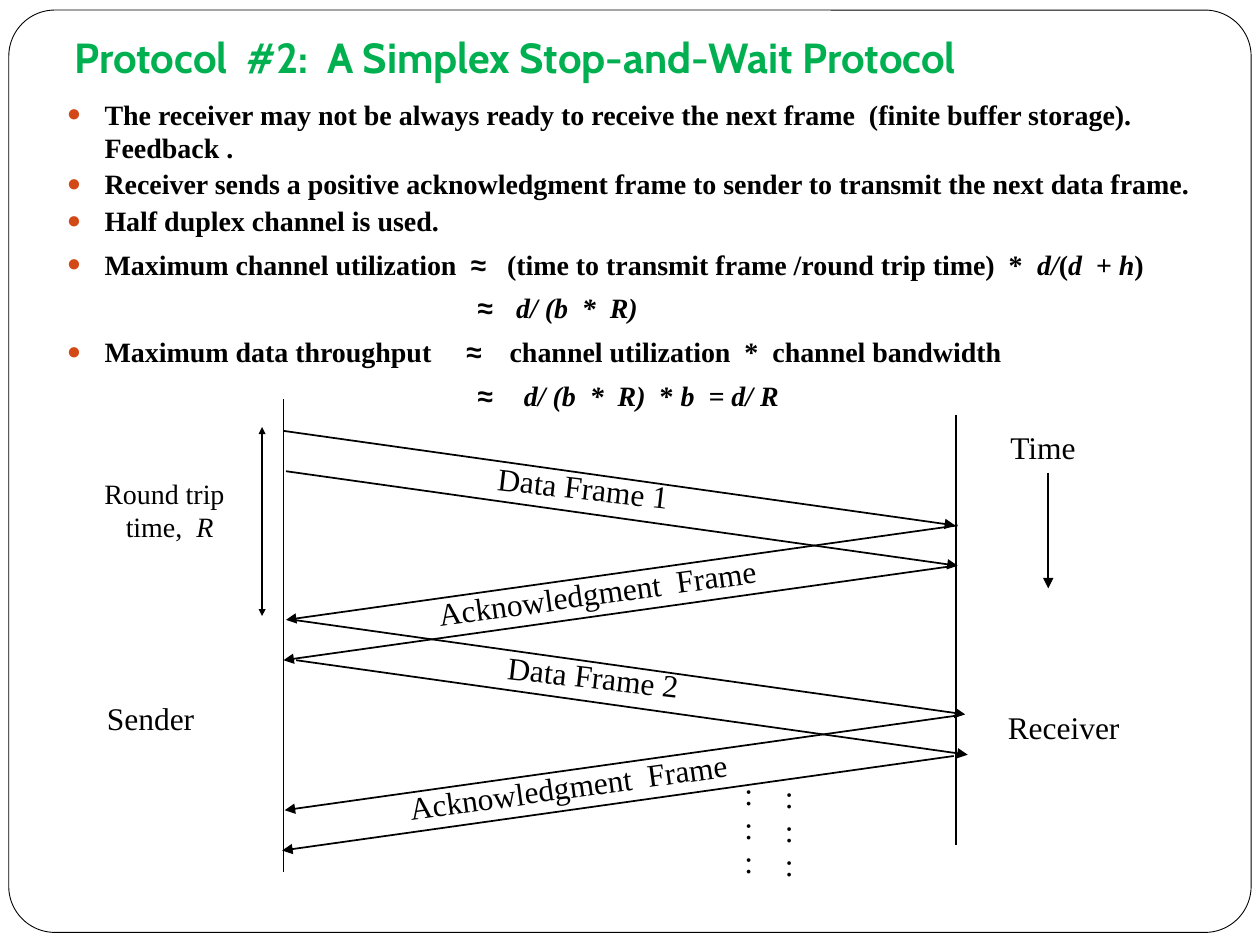
from lxml.etree import SubElement
from pptx import Presentation
from pptx.dml.color import RGBColor
from pptx.enum.shapes import MSO_CONNECTOR, MSO_SHAPE
from pptx.enum.text import MSO_ANCHOR, MSO_AUTO_SIZE, PP_ALIGN
from pptx.oxml.ns import qn
from pptx.util import Inches, Pt

SERIF = "Times New Roman"
BLACK, GREEN, ORANGE, WHITE = "000000", "00B050", "D34817", "FFFFFF"

TITLE = "Protocol  #2:  A Simplex Stop-and-Wait Protocol"
PLAIN, ITALIC, SYMBOL = {}, {"italic": True}, {"font": "Arial"}

# (bulleted, space before in points, runs)
POINTS = [
    (True, 1.6, [("The receiver may not be always ready to receive the next frame  "
                  "(finite buffer storage). Feedback .", PLAIN)]),
    (True, 1.6, [("Receiver sends a positive acknowledgment frame to sender "
                  "to transmit the next data frame.", PLAIN)]),
    (True, 1.6, [("Half duplex channel is used.", PLAIN)]),
    (True, 5.8, [("Maximum channel utilization  ", PLAIN), ("≈", SYMBOL),
                 ("   (time to transmit frame /round trip time)  *  ", PLAIN),
                 ("d/", ITALIC), ("(", PLAIN), ("d  ", ITALIC), ("+ ", PLAIN),
                 ("h", ITALIC), (")", PLAIN)]),
    (False, 5.8, [("≈   ", SYMBOL), ("d/ (b  *  R)", ITALIC)]),
    (True, 5.8, [("Maximum data throughput     ", PLAIN), ("≈", SYMBOL),
                 ("    channel utilization  *  channel bandwidth", PLAIN)]),
    (False, 5.8, [("≈    ", SYMBOL), ("d/ (b  *  R)", ITALIC), ("  * ", PLAIN),
                  ("b  = d/ R", ITALIC)]),
]

# start of each frame's leading edge, and its direction (1: to the receiver)
FRAMES = [(2.25, 3.42, 1), (7.6, 4.17, -1), (2.33, 4.92, 1), (7.59, 5.68, -1)]
TRAVEL_X, TRAVEL_Y = 5.33, 0.75
EDGE_X, EDGE_Y = 0.02, 0.32

# text, left, top, width, height, rotation
FRAME_LABELS = [
    ("Data Frame 1", 3.83, 3.68, 1.75, 0.73, 6.6),
    ("Acknowledgment  Frame", 3.39, 4.44, 3.61, 0.73, 352.1),
    ("Data Frame 2", 3.91, 5.18, 1.75, 0.73, 6.6),
    ("Acknowledgment  Frame", 3.16, 5.98, 3.61, 0.73, 352.1),
]
SIDE_LABELS = [
    ("Sender", 0.75, 5.5, 1.1, 0.43),
    ("Receiver", 7.9, 5.57, 1.23, 0.43),
    ("Time", 7.92, 3.35, 0.82, 0.43),
]
DOT_COLUMNS = [(5.81, 6.13), (6.13, 6.15)]


def rgb(value):
    return RGBColor.from_string(value)


def add_run(p, text, size=18, font=SERIF, color=BLACK, bold=False, italic=False):
    r = p.add_run()
    r.text = text
    f = r.font
    f.size, f.name, f.bold, f.italic = Pt(size), font, bold, italic
    f.color.rgb = rgb(color)


def set_indent(p, left, first=0):
    pPr = p._p.get_or_add_pPr()
    pPr.set("marL", str(Inches(left)))
    pPr.set("indent", str(Inches(first)))
    return pPr


def add_bullet(pPr):
    color = SubElement(pPr, qn("a:buClr"))
    SubElement(color, qn("a:srgbClr"), val=ORANGE)
    SubElement(pPr, qn("a:buSzPct"), val="85000")
    SubElement(pPr, qn("a:buFont"), typeface="Arial")
    SubElement(pPr, qn("a:buChar"), char="●")


def place(sp, left, top, width, height):
    sp.left, sp.top = Inches(left), Inches(top)
    sp.width, sp.height = Inches(width), Inches(height)


def add_label(s, lines, left, top, width, height, rotation=0, wrap=False, **fmt):
    """Add a text box with one paragraph per line and return its paragraphs."""
    sp = s.shapes.add_textbox(*map(Inches, (left, top, width, height)))
    sp.rotation = rotation
    tf = sp.text_frame
    tf.word_wrap = wrap
    for i, line in enumerate(lines):
        p = tf.add_paragraph() if i else tf.paragraphs[0]
        add_run(p, line, **fmt)
    return tf.paragraphs


def add_line(s, x1, y1, x2, y2, ends=(), size="med"):
    """Draw a line; ends names the arrowheads, headEnd before tailEnd."""
    c = s.shapes.add_connector(MSO_CONNECTOR.STRAIGHT,
                               *map(Inches, (x1, y1, x2, y2)))
    c.line.color.rgb = rgb(BLACK)
    c.line.width = Pt(1)
    ln = c.line._get_or_add_ln()
    for end in ends:
        SubElement(ln, qn("a:" + end), type="triangle", w=size, len=size)
    SubElement(c._element.spPr, qn("a:effectLst"))


def add_border(s):
    sp = s.shapes.add_shape(MSO_SHAPE.ROUNDED_RECTANGLE,
                            *map(Inches, (0.07, 0.08, 9.86, 7.32)))
    sp.adjustments[0] = 0.05
    sp.shadow.inherit = False
    sp.fill.solid()
    sp.fill.fore_color.rgb = rgb(WHITE)
    sp.line.color.rgb = rgb(BLACK)
    sp.line.width = Pt(0.5)
    s.shapes._spTree.insert(2, sp._element)  # behind the placeholders


def fill_title(sp):
    place(sp, 0.49, 0.25, 9.17, 0.5)
    tf = sp.text_frame
    tf.auto_size = MSO_AUTO_SIZE.NONE
    tf.vertical_anchor = MSO_ANCHOR.BOTTOM
    tf.margin_bottom = Inches(0.1)
    p = tf.paragraphs[0]
    p.alignment = PP_ALIGN.LEFT
    add_run(p, TITLE, size=24, font="Cabin", color=GREEN, bold=True)


def fill_points(sp):
    place(sp, 0.43, 0.72, 9.27, 2.87)
    tf = sp.text_frame
    tf.auto_size = MSO_AUTO_SIZE.NONE
    for i, (bulleted, space, runs) in enumerate(POINTS):
        p = tf.add_paragraph() if i else tf.paragraphs[0]
        p.space_before = Pt(space)
        if bulleted:
            add_bullet(set_indent(p, 0.3, -0.3))
        else:
            SubElement(set_indent(p, 3.26), qn("a:buNone"))
        for text, fmt in runs:
            add_run(p, text, size=16, bold=True, **fmt)


def draw_sequence(s):
    add_line(s, 2.25, 3.17, 2.25, 6.92)
    add_line(s, 7.59, 3.29, 7.59, 6.71)
    for x, y, way in FRAMES:
        for edge in range(2):
            x1, y1 = x + way * edge * EDGE_X, y + edge * EDGE_Y
            add_line(s, x1, y1, x1 + way * TRAVEL_X, y1 + TRAVEL_Y, ["tailEnd"])
    for text, *box, rotation in FRAME_LABELS:
        add_label(s, [text], *box, rotation=rotation, wrap=True)
    for text, *box in SIDE_LABELS:
        add_label(s, [text], *box)
    add_line(s, 8.32, 3.75, 8.32, 4.67, ["tailEnd"])

    add_line(s, 2.08, 3.39, 2.08, 4.89, ["headEnd", "tailEnd"], size="sm")
    trip = add_label(s, ["Round trip", "time,  "], 0.73, 3.73, 1.26, 0.63, size=16)
    set_indent(trip[1], 0.17)
    add_run(trip[1], "R", size=16, italic=True)

    for left, top in DOT_COLUMNS:
        for p in add_label(s, [":"] * 3, left, top, 0.29, 1):
            p.line_spacing = 0.9


def main():
    prs = Presentation()
    prs.slide_width, prs.slide_height = Inches(10), Inches(7.5)
    s = prs.slides.add_slide(prs.slide_layouts[1])
    add_border(s)
    fill_title(s.shapes.title)
    fill_points(s.placeholders[1])
    draw_sequence(s)
    prs.save("out.pptx")


if __name__ == "__main__":
    main()
